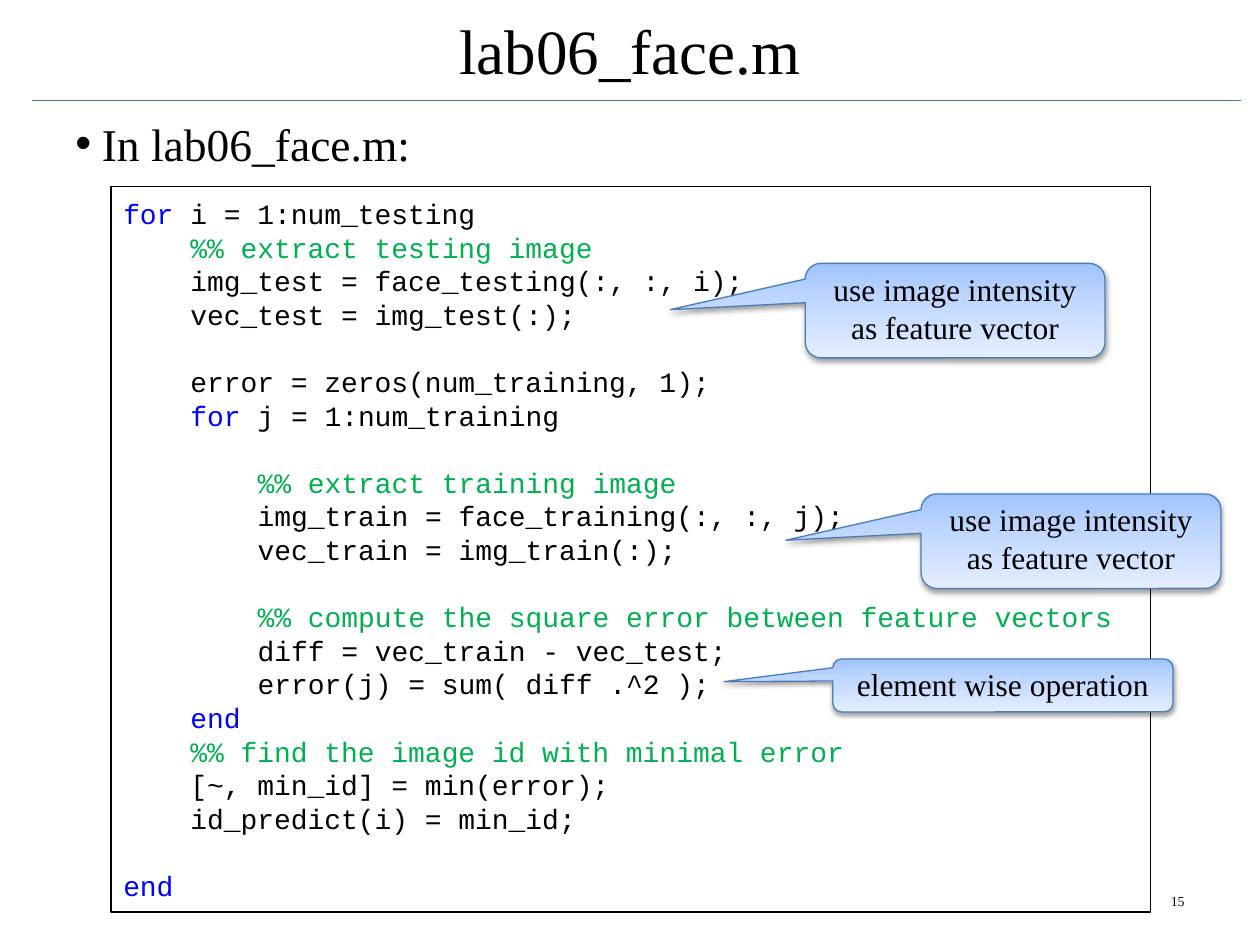
"""Build the lab06_face.m slide: annotated code listing with three callouts."""
from dataclasses import dataclass

from lxml.etree import SubElement
from pptx import Presentation
from pptx.dml.color import RGBColor
from pptx.enum.shapes import MSO_CONNECTOR, MSO_SHAPE
from pptx.enum.text import MSO_ANCHOR, PP_ALIGN
from pptx.oxml.ns import qn
from pptx.util import Inches, Pt


@dataclass(frozen=True)
class Theme:
    """Fonts, colours and type sizes."""
    serif: str = "Times New Roman"
    mono: str = "Courier New"
    ink: str = "000000"
    keyword: str = "0000FF"
    comment: str = "00B050"
    number: str = "0C0C0C"
    rule: str = "4A7DBA"
    gradient: tuple = ((0, "9FC3FF"), (35, "BDD5FF"), (100, "E4EEFF"))
    title_size: float = 36
    body_size: float = 26
    callout_size: float = 18
    code_size: float = 16
    number_size: float = 7.9
    code_leading: float = 19.2
    line_width: float = 0.75


THEME = Theme()
TITLE = "lab06_face.m"
BULLET = "In lab06_face.m:"
PAGE_NUMBER = "15"
CODE = [
    (0, "for i = 1:num_testing"),
    (1, "%% extract testing image"),
    (1, "img_test = face_testing(:, :, i);"),
    (1, "vec_test = img_test(:);"),
    None,
    (1, "error = zeros(num_training, 1);"),
    (1, "for j = 1:num_training"),
    None,
    (2, "%% extract training image"),
    (2, "img_train = face_training(:, :, j);"),
    (2, "vec_train = img_train(:);"),
    None,
    (2, "%% compute the square error between feature vectors"),
    (2, "diff = vec_train - vec_test;"),
    (2, "error(j) = sum( diff .^2 );"),
    (1, "end"),
    (1, "%% find the image id with minimal error"),
    (1, "[~, min_id] = min(error);"),
    (1, "id_predict(i) = min_id;"),
    None,
    (0, "end"),
]
FEATURE_NOTE = "use image intensity as feature vector"
CALLOUTS = [
    (FEATURE_NOTE, (7.31, 3.92, 2.38, 0.75), (-0.95, -0.01)),
    (FEATURE_NOTE, (6.39, 2.09, 2.38, 0.75), (-0.95, -0.01)),
    ("element wise operation", (6.61, 5.23, 2.7, 0.42), (-0.82, -0.07)),
]
CORNER = 0.167
CORNER_INSET = 0.29


def color(value):
    return RGBColor.from_string(value)


def inches(values):
    return [Inches(value) for value in values]


def add_span(para, text, size, font=THEME.serif, ink=THEME.ink):
    span = para.add_run()
    span.text = text
    span.font.name = font
    span.font.size = Pt(size)
    span.font.color.rgb = color(ink)


def add_text(page, place, text, size, ink=THEME.ink):
    box = page.shapes.add_textbox(*inches(place))
    box.text_frame.word_wrap = True
    para = box.text_frame.paragraphs[0]
    add_span(para, text, size, ink=ink)
    return box.text_frame, para


def outline(line, ink):
    line.color.rgb = color(ink)
    line.width = Pt(THEME.line_width)


def add_heading(page):
    title = page.shapes.title
    title.left, title.top, title.width, title.height = inches((0.5, 0.06, 9, 0.67))
    title.text_frame.vertical_anchor = MSO_ANCHOR.MIDDLE
    para = title.text_frame.paragraphs[0]
    para.alignment = PP_ALIGN.CENTER
    add_span(para, TITLE, THEME.title_size)
    rule = page.shapes.add_connector(
        MSO_CONNECTOR.STRAIGHT, *inches((0.25, 0.8, 9.85, 0.8)))
    outline(rule.line, THEME.rule)
    SubElement(rule._element.spPr, qn("a:effectLst"))


def add_bullet(page):
    para = add_text(page, (0.5, 0.87, 9, 0.55), BULLET, THEME.body_size)[1]
    props = para._p.get_or_add_pPr()
    props.set("marL", str(Inches(0.21)))
    props.set("indent", str(-Inches(0.21)))
    SubElement(props, qn("a:buFont"), typeface="Arial")
    SubElement(props, qn("a:buChar"), char="•")


def code_spans(text):
    if text.startswith("%%"):
        return [(text, THEME.comment)]
    word, space, rest = text.partition(" ")
    if word in ("for", "end"):
        return [(part, ink) for part, ink in
                ((word, THEME.keyword), (space + rest, THEME.ink)) if part]
    return [(text, THEME.ink)]


def add_code(page):
    listing = page.shapes.add_shape(
        MSO_SHAPE.RECTANGLE, *inches((0.88, 1.48, 8.25, 5.76)))
    listing.shadow.inherit = False
    listing.fill.background()
    outline(listing.line, THEME.ink)
    frame = listing.text_frame
    frame.word_wrap = True
    frame.vertical_anchor = MSO_ANCHOR.MIDDLE
    indent = Pt(4 * 0.6 * THEME.code_size)
    para, gap = frame.paragraphs[0], 0
    for index, row in enumerate(CODE):
        if row is None:
            gap = THEME.code_leading
            continue
        level, text = row
        if index:
            para = frame.add_paragraph()
        para.alignment = PP_ALIGN.LEFT
        para.line_spacing = Pt(THEME.code_leading)
        para.space_before = Pt(gap)
        para._p.get_or_add_pPr().set("marL", str(indent * level))
        for part, ink in code_spans(text):
            add_span(para, part, THEME.code_size, THEME.mono, ink)
        gap = 0


def shade(shape):
    shape.fill.gradient()
    shape.fill.gradient_angle = 270
    stops = shape._element.spPr.find(".//" + qn("a:gsLst"))
    stops.clear()
    for percent, ink in THEME.gradient:
        stop = SubElement(stops, qn("a:gs"), pos=str(percent * 1000))
        SubElement(stop, qn("a:srgbClr"), val=ink)
    shape.shadow.inherit = False
    effects = shape._element.spPr.find(qn("a:effectLst"))
    shadow = SubElement(effects, qn("a:outerShdw"), blurRad=str(Pt(3.1)),
                        dist=str(Pt(1.6)), dir="5400000", rotWithShape="0")
    ink = SubElement(shadow, qn("a:srgbClr"), val=THEME.ink)
    SubElement(ink, qn("a:alpha"), val="38000")


def add_callout(page, text, place, tip):
    callout = page.shapes.add_shape(
        MSO_SHAPE.ROUNDED_RECTANGULAR_CALLOUT, *inches(place))
    for index, value in enumerate((*tip, CORNER)):
        callout.adjustments[index] = value
    shade(callout)
    outline(callout.line, THEME.rule)
    frame = callout.text_frame
    frame.word_wrap = True
    frame.vertical_anchor = MSO_ANCHOR.TOP
    frame.margin_top = Inches(0.05 - CORNER_INSET * CORNER * place[3])
    para = frame.paragraphs[0]
    para.alignment = PP_ALIGN.CENTER
    add_span(para, text, THEME.callout_size)


def main():
    deck = Presentation()
    deck.slide_width, deck.slide_height = inches((10, 7.5))
    page = deck.slides.add_slide(deck.slide_layouts[5])
    add_heading(page)
    add_bullet(page)
    frame, para = add_text(page, (7.17, 6.95, 2.33, 0.4), PAGE_NUMBER,
                           THEME.number_size, THEME.number)
    frame.vertical_anchor = MSO_ANCHOR.MIDDLE
    para.alignment = PP_ALIGN.RIGHT
    add_code(page)
    for callout in CALLOUTS:
        add_callout(page, *callout)
    deck.save("out.pptx")


if __name__ == "__main__":
    main()
